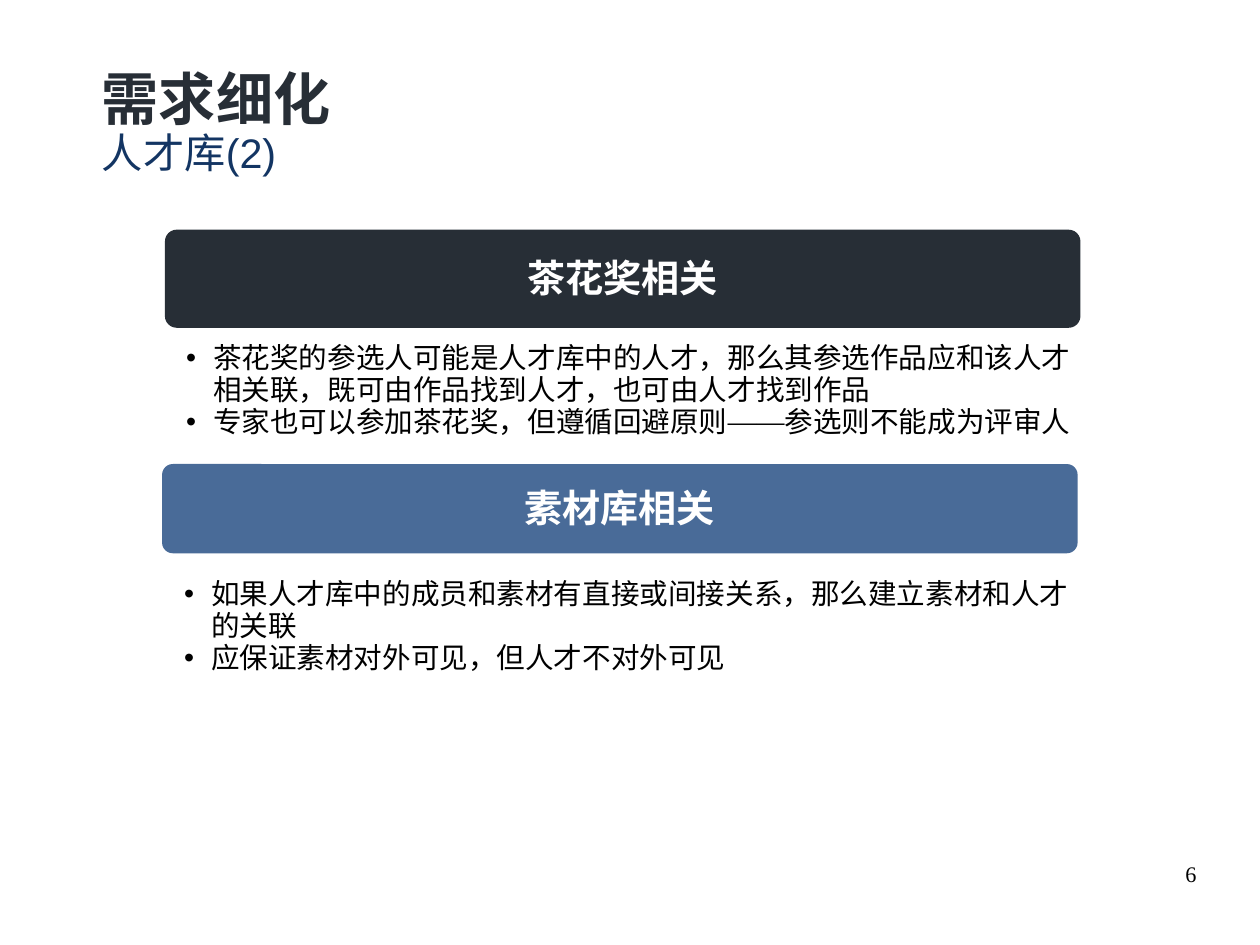
from lxml import etree
from pptx import Presentation
from pptx.dml.color import RGBColor
from pptx.enum import shapes, text
from pptx.oxml import ns
from pptx.util import Pt

COLOURS = {"dark": "272E36", "steel": "496B98", "navy": "133563",
           "white": "FFFFFF", "black": "000000"}
ASIAN_FONT = "Montserrat"


def add_span(para, words, size, colour, font="Arial", bold=False, spacing=0.93):
    """Add one formatted run and set the line spacing of its paragraph."""
    para.line_spacing = spacing
    span = para.add_run()
    span.text = words
    span.font.size = Pt(size)
    span.font.bold = bold
    span.font.color.rgb = RGBColor.from_string(COLOURS[colour])
    span.font.name = font
    etree.SubElement(span.font._element, ns.qn("a:ea"), typeface=ASIAN_FONT)


def set_frame(box, anchor, margins):
    frame = box.text_frame
    frame.word_wrap = True
    frame.auto_size = text.MSO_AUTO_SIZE.NONE
    frame.vertical_anchor = anchor
    (frame.margin_left, frame.margin_top,
     frame.margin_right, frame.margin_bottom) = [Pt(m) for m in margins]
    return frame


deck = Presentation()
deck.slide_width, deck.slide_height = Pt(793.7), Pt(595.28)
page = deck.slides.add_slide(deck.slide_layouts[5])
TOP, MIDDLE = text.MSO_ANCHOR.TOP, text.MSO_ANCHOR.MIDDLE

# Title and subtitle
title = page.shapes.title
title.left, title.top, title.width, title.height = Pt(56.9), Pt(28.4), Pt(689), Pt(87.1)
frame = set_frame(title, TOP, (7.2, 3.6, 7.2, 3.6))
heading = frame.paragraphs[0]
subtitle = frame.add_paragraph()
add_span(heading, "需求细化", 36, "dark", "Montserrat", True, 1.18)
add_span(subtitle, "人才库(2)", 26, "navy")
for para in (heading, subtitle):
    para.alignment = text.PP_ALIGN.LEFT

# Sections: banner with bullets below
sections = [
    ("茶花奖相关", "dark", (103.9, 144.7, 61.8), (110.2, 212.4), "Noto Sans CJK SC", [
        "茶花奖的参选人可能是人才库中的人才，那么其参选作品应和该人才相关联，既可由作品找到人才，也可由人才找到作品",
        "专家也可以参加茶花奖，但遵循回避原则——参选则不能成为评审人"]),
    ("素材库相关", "steel", (102.1, 292.3, 56.2), (108.9, 361.2), "Arial", [
        "如果人才库中的成员和素材有直接或间接关系，那么建立素材和人才的关联",
        "应保证素材对外可见，但人才不对外可见"]),
]
for name, fill, (left, top, height), (list_left, list_top), font, points in sections:
    banner = page.shapes.add_shape(shapes.MSO_SHAPE.ROUNDED_RECTANGLE,
                                   Pt(left), Pt(top), Pt(576.7), Pt(height))
    banner.adjustments[0] = 0.12
    banner.shadow.inherit = False
    banner.fill.solid()
    banner.fill.fore_color.rgb = RGBColor.from_string(COLOURS[fill])
    banner.line.fill.background()
    para = set_frame(banner, MIDDLE, (7.2, 5, 7.2, 3.6)).paragraphs[0]
    para.alignment = text.PP_ALIGN.CENTER
    add_span(para, name, 24, "white", bold=True)

    box = page.shapes.add_textbox(Pt(list_left), Pt(list_top), Pt(571.7), Pt(67.7))
    frame = set_frame(box, TOP, (7.2, 3.6, 7.2, 3.6))
    for index, point in enumerate(points):
        para = frame.add_paragraph() if index else frame.paragraphs[0]
        props = para._p.get_or_add_pPr()
        props.set("marL", str(Pt(17)))
        props.set("indent", str(-Pt(17)))
        etree.SubElement(props, ns.qn("a:buFont"), typeface="Arial")
        etree.SubElement(props, ns.qn("a:buChar"), char="•")
        add_span(para, point, 18, "black", font)

# Page number
number = page.shapes.add_textbox(Pt(568.8), Pt(542.9), Pt(185), Pt(41))
para = set_frame(number, TOP, (0, 0, 0, 0)).paragraphs[0]
para.alignment = text.PP_ALIGN.RIGHT
add_span(para, "6", 14, "black", "Times New Roman", spacing=0.95)

deck.save("out.pptx")
